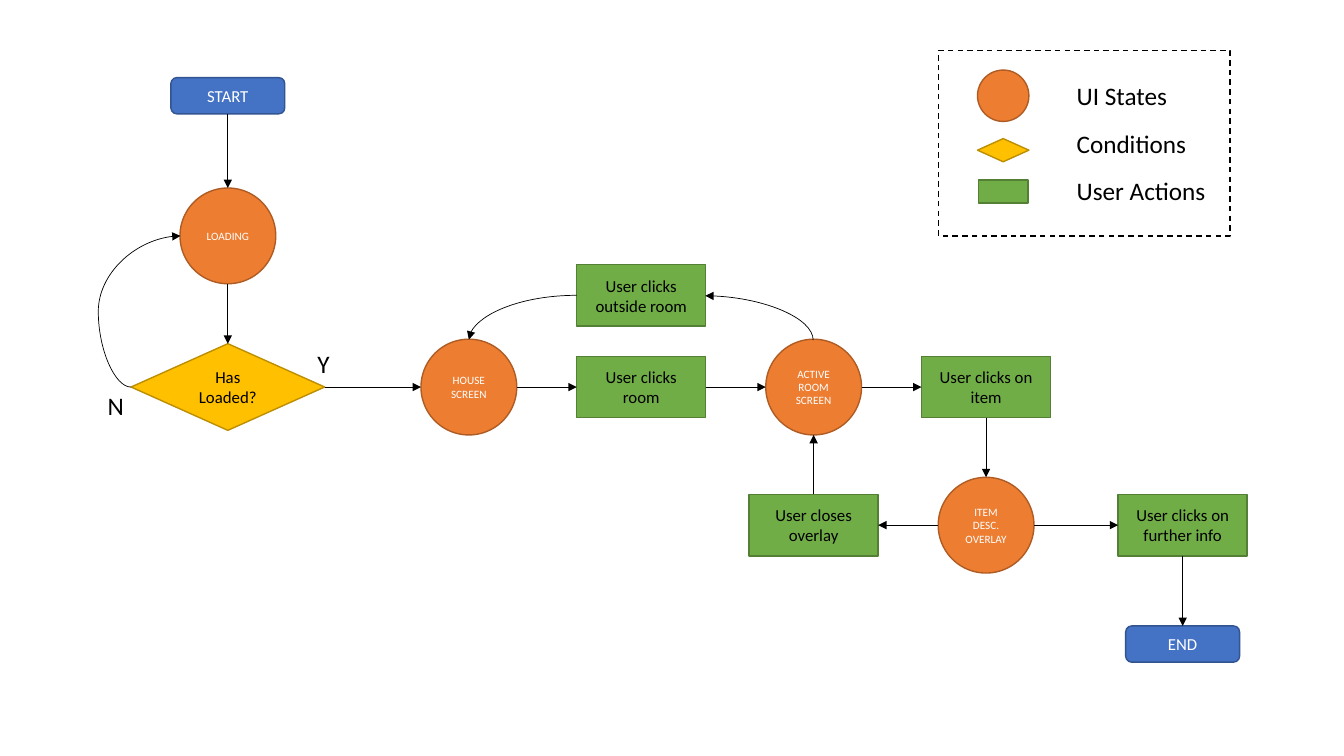
import pptx
import pptx.util
import pptx.dml.color
import pptx.enum.dml
import pptx.enum.shapes
import pptx.enum.text
import pptx.oxml.ns
import lxml.etree

Inches = pptx.util.Inches
Pt = pptx.util.Pt
SHAPES = pptx.enum.shapes.MSO_SHAPE
CONNECTORS = pptx.enum.shapes.MSO_CONNECTOR
qn = pptx.oxml.ns.qn

THEME = {
    "font": "Calibri",
    "black": "000000",
    "label_size": 18,
    "shape_line": 1,
    "arrow_line": 0.5,
    # preset, width, height, fill, outline, text colour, text size
    "terminal": (SHAPES.ROUNDED_RECTANGLE, 1.13, 0.36, "4472C4", "325491", "FFFFFF", 12),
    "state": (SHAPES.OVAL, 0.95, 0.95, "ED7D31", "AF5C24", "FFFFFF", 8),
    "condition": (SHAPES.FLOWCHART_DECISION, 1.92, 0.86, "FFC000", "BD8E00", "000000", 12),
    "action": (SHAPES.RECTANGLE, 1.28, 0.61, "70AD47", "538035", "000000", 12),
}


def color(value):
    return pptx.dml.color.RGBColor.from_string(value)


def format_text(text_frame, text, size, text_color, alignment):
    text_frame.text = text
    for paragraph in text_frame.paragraphs:
        paragraph.alignment = alignment
        for run in paragraph.runs:
            run.font.name = THEME["font"]
            run.font.size = Pt(size)
            run.font.color.rgb = color(text_color)


presentation = pptx.Presentation()
presentation.slide_width = Inches(13.33)
presentation.slide_height = Inches(7.5)
slide = presentation.slides.add_slide(presentation.slide_layouts[6])

# Flow nodes and legend symbols: name, kind, centre x, centre y, text, own size
nodes = [
    ("start", "terminal", 2.26, 0.95, "START", None),
    ("loading", "state", 2.26, 2.34, "LOADING", None),
    ("loaded", "condition", 2.26, 3.84, "Has Loaded?", None),
    ("house", "state", 4.65, 3.84, "HOUSE\nSCREEN", None),
    ("click_room", "action", 6.36, 3.84, "User clicks room", None),
    ("click_outside", "action", 6.36, 2.93, "User clicks outside room", None),
    ("room", "state", 8.07, 3.84, "ACTIVE\nROOM\nSCREEN", None),
    ("click_item", "action", 9.78, 3.84, "User clicks on item", None),
    ("item", "state", 9.78, 5.21, "ITEM\nDESC.\nOVERLAY", None),
    ("close_overlay", "action", 8.07, 5.21, "User closes overlay", None),
    ("click_info", "action", 11.73, 5.21, "User clicks on further info", None),
    ("end", "terminal", 11.73, 6.39, "END", None),
    ("legend_state", "state", 9.95, 0.95, "", (0.51, 0.51)),
    ("legend_condition", "condition", 9.95, 1.49, "", (0.51, 0.23)),
    ("legend_action", "action", 9.95, 1.9, "", (0.49, 0.23)),
]
shapes = {}
kinds = {}
for name, kind, center_x, center_y, text, own_size in nodes:
    preset, width, height, fill, outline, text_color, size = THEME[kind]
    width, height = own_size or (width, height)
    shape = slide.shapes.add_shape(
        preset, Inches(center_x - width / 2), Inches(center_y - height / 2),
        Inches(width), Inches(height))
    shape.shadow.inherit = False
    shape.fill.solid()
    shape.fill.fore_color.rgb = color(fill)
    shape.line.color.rgb = color(outline)
    shape.line.width = Pt(THEME["shape_line"])
    shape.text_frame.word_wrap = True
    shape.text_frame.vertical_anchor = pptx.enum.text.MSO_ANCHOR.MIDDLE
    if text:
        format_text(shape.text_frame, text, size, text_color, pptx.enum.text.PP_ALIGN.CENTER)
    shapes[name] = shape
    kinds[name] = kind

# Legend frame
frame = slide.shapes.add_shape(
    SHAPES.RECTANGLE, Inches(9.31), Inches(0.5), Inches(2.89), Inches(1.84))
frame.shadow.inherit = False
frame.fill.background()
frame.line.color.rgb = color(THEME["black"])
frame.line.width = Pt(THEME["shape_line"])
frame.line.dash_style = pptx.enum.dml.MSO_LINE.DASH

# Branch and legend labels
labels = [
    ("N", 0.97, 3.82, 0.36),
    ("Y", 3.05, 3.41, 0.32),
    ("UI States", 10.58, 0.75, 1.11),
    ("Conditions", 10.58, 1.22, 1.3),
    ("User Actions", 10.58, 1.69, 1.49),
]
for text, left, top, width in labels:
    label = slide.shapes.add_textbox(Inches(left), Inches(top), Inches(width), Inches(0.4))
    label.text_frame.word_wrap = False
    label.text_frame.auto_size = pptx.enum.text.MSO_AUTO_SIZE.SHAPE_TO_FIT_TEXT
    format_text(label.text_frame, text, THEME["label_size"], THEME["black"],
                pptx.enum.text.PP_ALIGN.LEFT)

# Arrows: source, side, target, side, and for curves
# (preset, left, top, width, height, rotation, flip, bend)
arrows = [
    ("start", "bottom", "loading", "top", None),
    ("loading", "bottom", "loaded", "top", None),
    ("loaded", "right", "house", "left", None),
    ("house", "right", "click_room", "left", None),
    ("click_room", "right", "room", "left", None),
    ("room", "right", "click_item", "left", None),
    ("click_item", "bottom", "item", "top", None),
    ("item", "left", "close_overlay", "right", None),
    ("close_overlay", "top", "room", "bottom", None),
    ("item", "right", "click_info", "left", None),
    ("click_info", "bottom", "end", "top", None),
    ("loaded", "left", "loading", "left",
     ("curvedConnector3", 1.3, 2.34, 0.49, 1.5, 180, "flipH", -66500)),
    ("room", "top", "click_outside", "right",
     ("curvedConnector2", 7.31, 2.62, 0.44, 1.07, 270, "flipV", None)),
    ("click_outside", "left", "house", "top",
     ("curvedConnector2", 4.65, 2.93, 1.07, 0.44, 180, "flipV", None)),
]
SIDES = ["top", "left", "bottom", "right"]
for source, source_side, target, target_side, curve in arrows:
    connector = slide.shapes.add_connector(
        CONNECTORS.CURVE if curve else CONNECTORS.STRAIGHT, 0, 0, 0, 0)
    connector.begin_connect(shapes[source], SIDES.index(source_side))
    connector.end_connect(shapes[target], SIDES.index(target_side))
    # Ovals have eight connection sites, the other shapes four
    links = connector.element.nvCxnSpPr.cNvCxnSpPr
    for link, name in ((links.stCxn, source), (links.endCxn, target)):
        if kinds[name] == "state":
            link.idx *= 2
    connector.line.color.rgb = color(THEME["black"])
    connector.line.width = Pt(THEME["arrow_line"])
    properties = connector.element.spPr
    line = properties.find(qn("a:ln"))
    lxml.etree.SubElement(line, qn("a:tailEnd"), type="triangle")
    lxml.etree.SubElement(properties, qn("a:effectLst"))

    if curve:
        preset, left, top, width, height, rotation, flip, bend = curve
        connector.left, connector.top = Inches(left), Inches(top)
        connector.width, connector.height = Inches(width), Inches(height)
        transform = properties.find(qn("a:xfrm"))
        transform.set("rot", str(rotation * 60000))
        for direction in ("flipH", "flipV"):
            transform.set(direction, "1" if direction == flip else "0")
        geometry = properties.find(qn("a:prstGeom"))
        geometry.set("prst", preset)
        if bend is not None:
            adjustments = geometry.find(qn("a:avLst"))
            lxml.etree.SubElement(adjustments, qn("a:gd"), name="adj1", fmla=f"val {bend}")

presentation.save("out.pptx")
